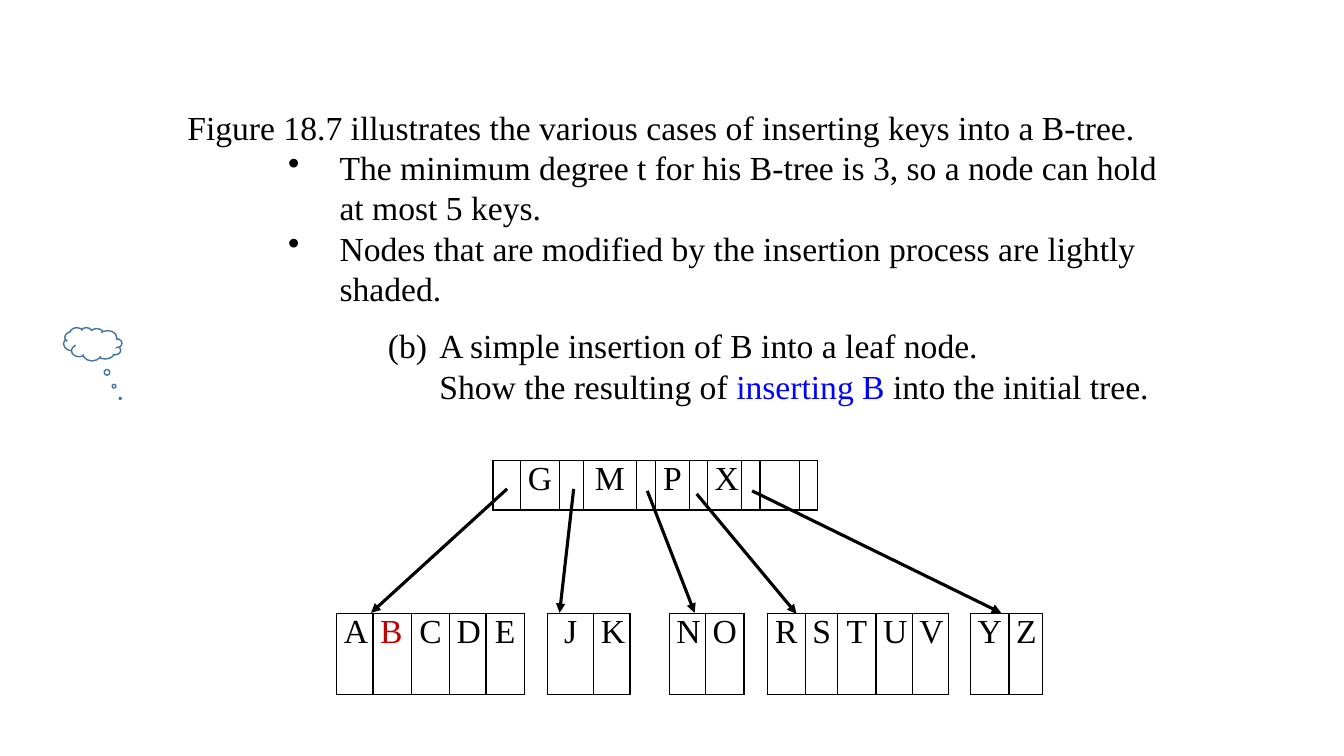
from dataclasses import dataclass

from lxml import etree
from pptx import Presentation
from pptx.dml.color import RGBColor
from pptx.enum.shapes import MSO_CONNECTOR, MSO_SHAPE
from pptx.enum.text import MSO_AUTO_SIZE, PP_ALIGN
from pptx.oxml.ns import qn
from pptx.util import Inches, Pt

STRAIGHT = MSO_CONNECTOR.STRAIGHT
CLOUD = MSO_SHAPE.CLOUD_CALLOUT
FIT_SHAPE = MSO_AUTO_SIZE.SHAPE_TO_FIT_TEXT
LEFT, CENTER = PP_ALIGN.LEFT, PP_ALIGN.CENTER
FONT = "Times New Roman"
COLORS = {
    "black": "000000",
    "white": "FFFFFF",
    "blue": "0000FF",
    "red": "C00000",
    "cloud": "43739E",
}


@dataclass
class Line:
    runs: list[tuple[str, str]]
    level: int = 0
    margin: float = 0
    indent: float = 0
    bullet: tuple[str, dict[str, str]] | None = None
    space_after: int = 0
    alignment: PP_ALIGN = LEFT


@dataclass
class Cell:
    key: str
    width: float
    is_gap: bool = False
    color: str = "black"
    alignment: PP_ALIGN = CENTER


@dataclass
class Arrow:
    start: tuple[float, float]
    end: tuple[float, float]


DOT = ("a:buChar", {"char": "•"})
LETTER = ("a:buAutoNum", {"type": "alphaLcParenBoth", "startAt": "2"})

LINES = [
    Line([("Figure 18.7 illustrates the various cases of inserting keys into a B-tree.", "black")]),
    Line([("The minimum degree t for his B-tree is 3, so a node can hold at most 5 keys.", "black")],
         2, 1.51, -0.51, DOT),
    Line([("Nodes that are modified by the insertion process are lightly shaded.", "black")],
         2, 1.51, -0.51, DOT, 12),
    Line([("A simple insertion of B into a leaf node. ", "black")],
         0, 0.51, -0.51, LETTER, alignment=CENTER),
    Line([("Show the resulting of ", "black"), ("inserting B ", "blue"),
          ("into the initial tree.", "black")], margin=2.5),
]

ROOT = [
    Cell(key, width)
    for key, width in zip(
        ["", "G", "", "M", "", "P", "", "X", "", "", ""],
        [0.27, 0.39, 0.24, 0.52, 0.19, 0.34, 0.18, 0.34, 0.18, 0.39, 0.18],
    )
]

LEAVES = [
    Cell("A", 0.36), Cell("B", 0.38, color="red", alignment=LEFT), Cell("C", 0.38),
    Cell("D", 0.36), Cell("E", 0.38), Cell("", 0.23, True),
    Cell("J", 0.46), Cell("K", 0.36), Cell("", 0.39, True),
    Cell("N", 0.36), Cell("O", 0.38), Cell("", 0.23, True),
    Cell("R", 0.38), Cell("S", 0.32), Cell("T", 0.38), Cell("U", 0.36), Cell("V", 0.36),
    Cell("", 0.22, True), Cell("Y", 0.38), Cell("Z", 0.33),
]

ARROWS = [
    Arrow((5.03, 4.85), (3.68, 6.08)),
    Arrow((5.69, 4.85), (5.55, 6.08)),
    Arrow((6.42, 4.87), (6.89, 6.08)),
    Arrow((6.91, 4.9), (7.9, 6.09)),
    Arrow((7.46, 4.87), (9.93, 6.08)),
]


def rgb(name: str) -> RGBColor:
    return RGBColor.from_string(COLORS[name])


def set_font(font, color: str | None = None) -> None:
    font.name = FONT
    font.size = Pt(24)
    if color:
        font.color.rgb = rgb(color)


def add_text(slide, lines: list[Line]) -> None:
    box = slide.shapes.add_textbox(Inches(1.76), Inches(1.01), Inches(10.11), Inches(3.1))
    frame = box.text_frame
    frame.word_wrap = True
    frame.auto_size = FIT_SHAPE
    for index, line in enumerate(lines):
        paragraph = frame.add_paragraph() if index else frame.paragraphs[0]
        paragraph.level = line.level
        paragraph.alignment = line.alignment
        paragraph.space_after = Pt(line.space_after)
        properties = paragraph._p.get_or_add_pPr()
        properties.set("marL", str(Inches(line.margin)))
        properties.set("indent", str(Inches(line.indent)))
        if line.bullet:
            tag, attributes = line.bullet
            etree.SubElement(properties, qn(tag), attributes)
        set_font(paragraph.font)
        for text, color in line.runs:
            run = paragraph.add_run()
            run.text = text
            set_font(run.font, color)


def add_border(cell, side: str, color: str, width: float) -> None:
    border = etree.SubElement(cell._tc.get_or_add_tcPr(), qn(f"a:ln{side}"), w=str(Pt(width)))
    fill = etree.SubElement(border, qn("a:solidFill"))
    etree.SubElement(fill, qn("a:srgbClr"), val=COLORS[color])


def add_nodes(slide, cells: list[Cell], left: float, top: float, height: float) -> None:
    width = sum(cell.width for cell in cells)
    table = slide.shapes.add_table(
        1, len(cells), Inches(left), Inches(top), Inches(width), Inches(height)
    ).table
    table.first_row = False
    table.horz_banding = False
    for index, item in enumerate(cells):
        table.columns[index].width = Inches(item.width)
        cell = table.cell(0, index)
        cell.margin_left = cell.margin_right = Inches(0.07)
        cell.margin_top = cell.margin_bottom = 0
        edge = "white" if item.is_gap else "black"
        add_border(cell, "L", "black", 1)
        add_border(cell, "R", "black", 1)
        add_border(cell, "T", edge, 1)
        add_border(cell, "B", edge, 3 if item.is_gap else 1)
        cell.fill.solid()
        cell.fill.fore_color.rgb = rgb("white")
        if item.key:
            cell.text = item.key
            paragraph = cell.text_frame.paragraphs[0]
            paragraph.alignment = item.alignment
            set_font(paragraph.font, item.color)


def add_arrow(slide, arrow: Arrow) -> None:
    points = [Inches(value) for value in arrow.start + arrow.end]
    connector = slide.shapes.add_connector(STRAIGHT, *points)
    connector.line.color.rgb = rgb("black")
    connector.line.width = Pt(2.25)
    etree.SubElement(connector.line._get_or_add_ln(), qn("a:tailEnd"), type="triangle")
    etree.SubElement(connector._element.spPr, qn("a:effectLst"))


def add_cloud(slide) -> None:
    cloud = slide.shapes.add_shape(CLOUD, Inches(0.63), Inches(3.25), Inches(0.58), Inches(0.33))
    cloud.adjustments[0] = -0.47
    cloud.adjustments[1] = 1.63
    cloud._element.spPr.find(qn("a:xfrm")).set("flipH", "1")
    cloud.shadow.inherit = False
    cloud.fill.solid()
    cloud.fill.fore_color.rgb = rgb("white")
    cloud.line.color.rgb = rgb("cloud")
    cloud.line.width = Pt(1)


def main() -> None:
    presentation = Presentation()
    presentation.slide_width = Inches(13.33)
    presentation.slide_height = Inches(7.5)
    slide = presentation.slides.add_slide(presentation.slide_layouts[6])
    add_text(slide, LINES)
    add_nodes(slide, ROOT, 4.89, 4.57, 0.49)
    add_nodes(slide, LEAVES, 3.34, 6.09, 0.8)
    for arrow in ARROWS:
        add_arrow(slide, arrow)
    add_cloud(slide)
    presentation.save("out.pptx")


if __name__ == "__main__":
    main()
